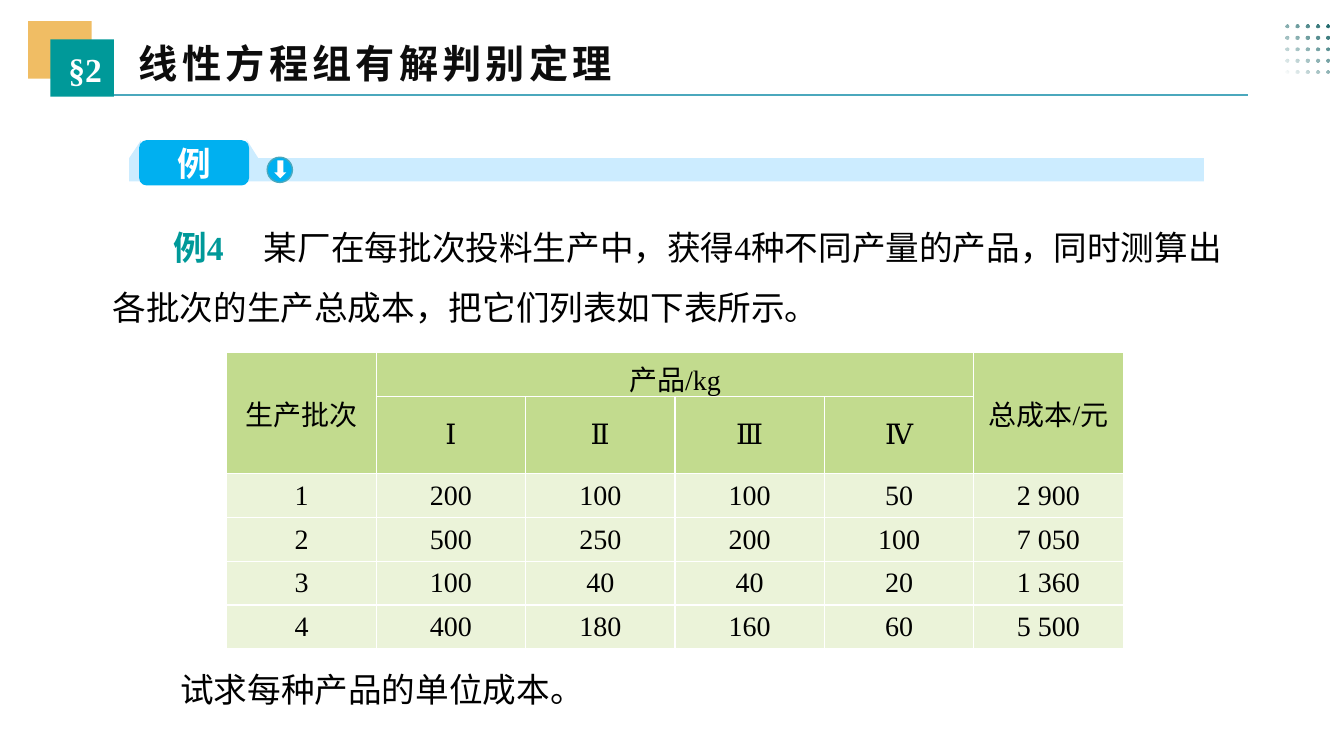
import math

from lxml import etree
from pptx import Presentation
from pptx.dml.color import RGBColor
from pptx.enum.shapes import MSO_CONNECTOR, MSO_SHAPE
from pptx.enum.text import MSO_ANCHOR, MSO_AUTO_SIZE, PP_ALIGN
from pptx.oxml.ns import qn
from pptx.util import Inches, Pt

RECT, ROUND, OVAL = MSO_SHAPE.RECTANGLE, MSO_SHAPE.ROUNDED_RECTANGLE, MSO_SHAPE.OVAL
TRIANGLE, ARROW = MSO_SHAPE.RIGHT_TRIANGLE, MSO_SHAPE.DOWN_ARROW
STRAIGHT = MSO_CONNECTOR.STRAIGHT
LEFT, CENTER = PP_ALIGN.LEFT, PP_ALIGN.CENTER
MIDDLE, GROW = MSO_ANCHOR.MIDDLE, MSO_AUTO_SIZE.SHAPE_TO_FIT_TEXT

SANS, SERIF = "Noto Sans CJK SC", "Times New Roman"
COLORS = {
    "white": "FFFFFF", "black": "000000", "ink": "0D0D0D",
    "teal": "009999", "gold": "F0BD64", "rule": "4BA8BD", "dots": "1B6669",
    "sky": "00B0F0", "pale": "CCECFF", "header": "C2DB8E", "body": "EBF3D9",
}


def color(name):
    return RGBColor.from_string(COLORS[name])


class SlideBuilder:
    def __init__(self, deck):
        self.slide = deck.slides.add_slide(deck.slide_layouts[6])
        self.shapes = self.slide.shapes
        self.base = {"size": Pt(24), "name": SERIF, "bold": False}

    def shape(self, kind, bounds, fill, line=None, rotation=0, flip=False):
        shape = self.shapes.add_shape(kind, *map(Inches, bounds))
        shape.shadow.inherit = False
        shape.fill.solid()
        shape.fill.fore_color.rgb = color(fill)
        if line:
            shape.line.color.rgb = color(line)
            shape.line.width = Pt(1)
        else:
            shape.line.fill.background()
        shape.rotation = rotation
        if flip:
            shape._element.spPr.find(qn("a:xfrm")).set("flipV", "1")

    def rule(self, start, end, line, width):
        rule = self.shapes.add_connector(STRAIGHT, *map(Inches, start + end))
        rule.line.color.rgb = color(line)
        rule.line.width = Pt(width)
        etree.SubElement(rule._element.spPr, qn("a:effectLst"))

    def span(self, para, text, ink="black", spacing=0, **formats):
        span = para.add_run()
        span.text = text
        for key, value in {**self.base, **formats}.items():
            setattr(span.font, key, value)
        span.font.color.rgb = color(ink)
        properties = span.font._element
        etree.SubElement(properties, qn("a:ea")).set("typeface", SANS)
        if spacing:
            properties.set("spc", str(spacing * 100))

    def text(self, bounds, spans, align=LEFT, line_spacing=1.0, margins=(0.1, 0.05),
             indent=0, tab=0):
        box = self.shapes.add_textbox(*map(Inches, bounds))
        frame = box.text_frame
        side, edge = map(Inches, margins)
        formats = {"word_wrap": True, "auto_size": GROW, "margin_left": side,
                   "margin_right": side, "margin_top": edge, "margin_bottom": edge}
        for key, value in formats.items():
            setattr(frame, key, value)
        para = frame.paragraphs[0]
        para.alignment = align
        para.line_spacing = line_spacing
        properties = para._p.get_or_add_pPr()
        if indent:
            properties.set("marL", "0")
            properties.set("indent", str(Inches(indent)))
        if tab:
            stops = etree.SubElement(properties, qn("a:tabLst"))
            etree.SubElement(stops, qn("a:tab"), pos=str(Inches(tab)), algn="l")
        for words, formats in spans:
            self.span(para, words, **formats)

    def dot_grid(self, left, top, step_x, step_y, count, radius_x, radius_y):
        def ring(index):
            row, column = divmod(index, count)
            x, y = left + column * step_x, top + row * step_y
            angles = [math.tau * step / 16 for step in range(16)]
            return [(Inches(x + radius_x * math.cos(angle)),
                     Inches(y + radius_y * math.sin(angle))) for angle in angles]

        first, *others = [ring(index) for index in range(count * count)]
        builder = self.shapes.build_freeform(*first[0])
        builder.add_line_segments(first[1:], close=True)
        for points in others:
            builder.move_to(*points[0])
            builder.add_line_segments(points[1:], close=True)
        dots = builder.convert_to_shape()
        dots.shadow.inherit = False
        dots.line.fill.background()
        # Fade towards the lower left
        dots.fill.gradient()
        dots.fill.gradient_angle = 225
        for stop in dots.fill.gradient_stops:
            stop.color.rgb = color("dots")
        last = dots._element.spPr.findall(".//" + qn("a:srgbClr"))[-1]
        etree.SubElement(last, qn("a:alpha")).set("val", "0")

    def cell(self, cell, text, fill):
        cell.vertical_anchor = MIDDLE
        cell.fill.solid()
        cell.fill.fore_color.rgb = color(fill)
        properties = cell._tc.get_or_add_tcPr()
        for index, side in enumerate("LRTB"):
            border = etree.Element(qn(f"a:ln{side}"), w=str(Pt(1)))
            paint = etree.SubElement(border, qn("a:solidFill"))
            etree.SubElement(paint, qn("a:srgbClr")).set("val", COLORS["white"])
            properties.insert(index, border)
        para = cell.text_frame.paragraphs[0]
        para.alignment = CENTER
        if text:
            self.span(para, text, size=Pt(20))

    def table(self, bounds, rows, header_rows, merges, row_height):
        frame = self.shapes.add_table(len(rows), len(rows[0]), *map(Inches, bounds))
        table = frame.table
        table.first_row = table.horz_banding = False
        for index, values in enumerate(rows):
            table.rows[index].height = Inches(row_height)
            fill = "header" if index < header_rows else "body"
            for column, value in enumerate(values):
                self.cell(table.cell(index, column), value, fill)
        for start, end in merges:
            table.cell(*start).merge(table.cell(*end))


def main():
    deck = Presentation()
    deck.slide_width, deck.slide_height = Inches(13.33), Inches(7.5)
    page = SlideBuilder(deck)

    # Heading
    page.shape(RECT, (0.28, 0.21, 0.63, 0.57), "gold")
    page.shape(RECT, (0.5, 0.39, 0.63, 0.57), "teal")
    page.dot_grid(12.77, 0.265, 0.1, 0.11, 5, 0.02, 0.02)
    page.rule((1.13, 0.94), (12.38, 0.94), "rule", 1.5)
    heading = {"size": Pt(28), "name": SANS, "bold": True, "ink": "ink", "spacing": 3}
    page.text((1.28, 0.34, 5.22, 0.57), [("线性方程组有解判别定理", heading)])
    page.text((0.53, 0.44, 0.63, 0.5), [("§2", {"bold": True, "ink": "white"})], CENTER)

    # Example banner
    page.shape(RECT, (1.28, 1.57, 10.66, 0.23), "pale")
    page.shape(TRIANGLE, (1.25, 1.42, 0.18, 0.12), "pale", rotation=270)
    page.shape(TRIANGLE, (2.41, 1.42, 0.19, 0.12), "pale", rotation=270, flip=True)
    page.shape(OVAL, (2.65, 1.56, 0.25, 0.25), "sky", line="rule")
    page.shape(ARROW, (2.72, 1.59, 0.12, 0.18), "white")
    page.shape(ROUND, (1.38, 1.39, 1.09, 0.45), "sky")
    label = {"name": SANS, "bold": True, "ink": "white", "spacing": 3}
    page.text((1.69, 1.38, 0.56, 0.48), [("例", label)], margins=(0.07, 0.04))

    # Problem statement
    statement = "某厂在每批次投料生产中，获得4种不同产量的产品，同时测算出各批次的生产总成本，把它们列表如下表所示。"
    page.text((1.02, 2, 11.34, 1.31),
              [("例4\t", {"bold": True, "ink": "teal"}), (statement, {})],
              line_spacing=1.5, indent=0.6, tab=1.6)

    # Production table
    rows = [
        ("生产批次", "产品/kg", "", "", "", "总成本/元"),
        ("", "Ⅰ", "Ⅱ", "Ⅲ", "Ⅳ", ""),
        ("1", "200", "100", "100", "50", "2 900"),
        ("2", "500", "250", "200", "100", "7 050"),
        ("3", "100", "40", "40", "20", "1 360"),
        ("4", "400", "180", "160", "60", "5 500"),
    ]
    merges = [((0, 0), (1, 0)), ((0, 1), (0, 4)), ((0, 5), (1, 5))]
    page.table((2.25, 3.5, 8.89, 2.6), rows, 2, merges, 0.41)

    # Question
    page.text((1.69, 6.39, 4.68, 0.71), [("试求每种产品的单位成本。", {})], line_spacing=1.5)

    deck.save("out.pptx")


if __name__ == "__main__":
    main()
